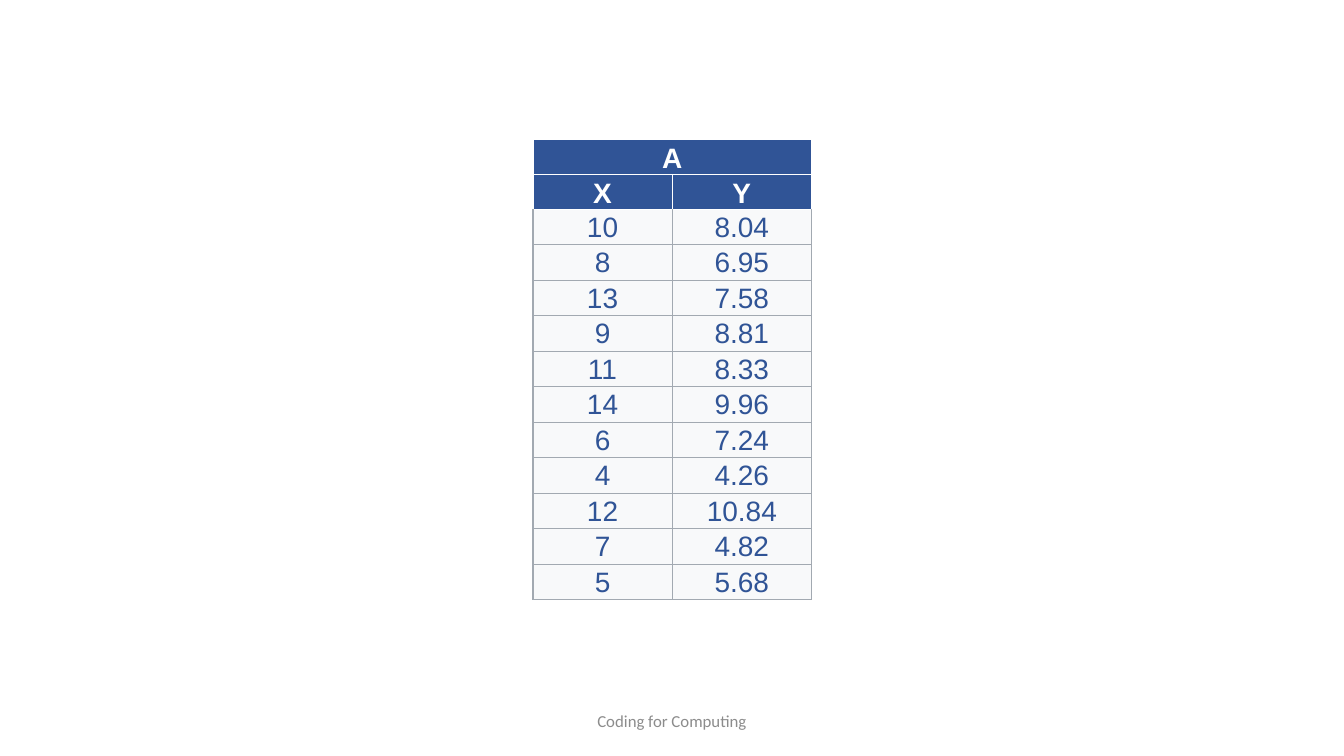
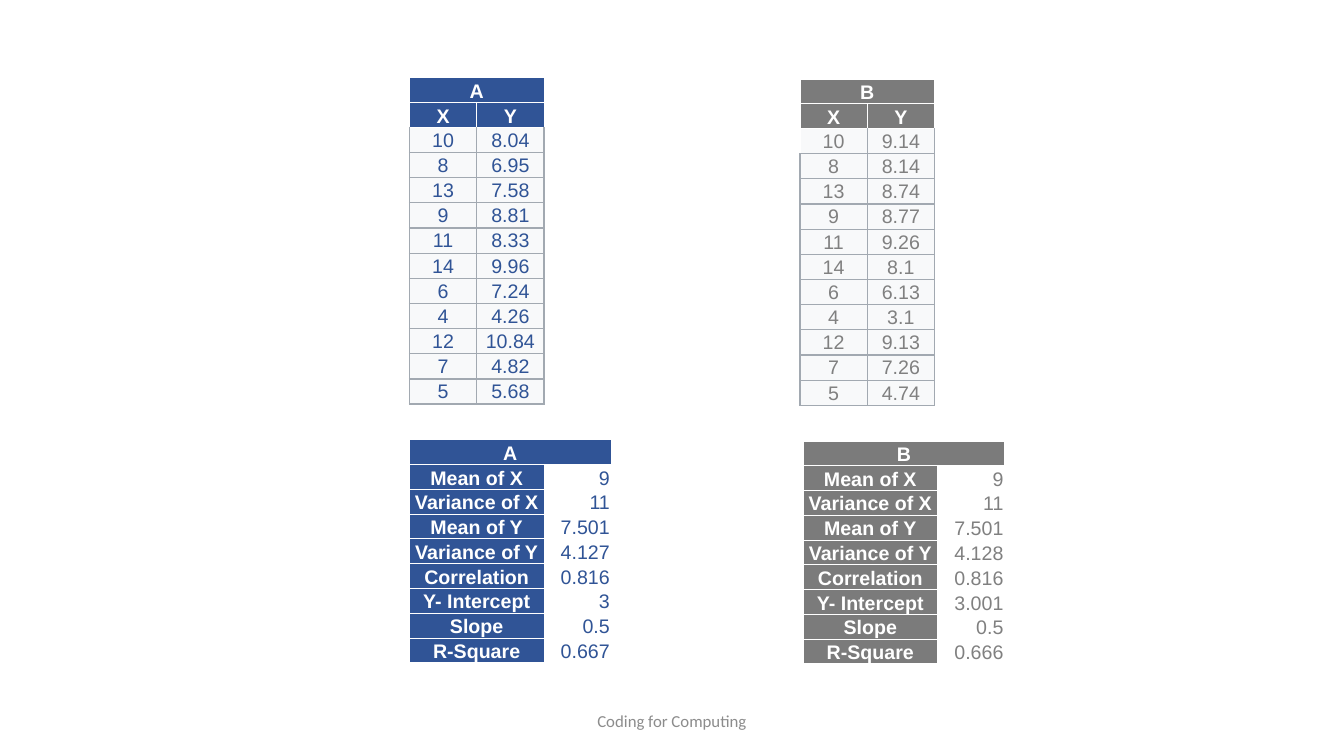
from lxml.etree import SubElement
from pptx import Presentation
from pptx.dml.color import RGBColor
from pptx.enum.text import MSO_ANCHOR, PP_ALIGN
from pptx.oxml.ns import qn
from pptx.util import Cm, Pt

COLORS = {
    "white": "FFFFFF",
    "footer": "8C8C8C",
    "cell": "F8F9FA",
    "grid": "A2A9B1",
    "blue": "305496",
    "gray": "7B7B7B",
    "gray_text": "808080",
}
THIN = ("white", 0.5)
GRID = ("grid", 1)
SIDES = ("L", "R", "T", "B")
CELL_INSETS = {
    "margin_left": Cm(0.03),
    "margin_right": Cm(0.03),
    "margin_top": Cm(0.03),
    "margin_bottom": 0,
}
X_VALUES = [10, 8, 13, 9, 11, 14, 6, 4, 12, 7, 5]
STAT_LABELS = [
    "Mean of X", "Variance of X", "Mean of Y", "Variance of Y",
    "Correlation", "Y- Intercept", "Slope", "R-Square",
]
DATASETS = {
    "A": {
        "fill": "blue",
        "text": "blue",
        "first_left": GRID,
        "y": [8.04, 6.95, 7.58, 8.81, 8.33, 9.96, 7.24, 4.26, 10.84, 4.82, 5.68],
        "stats": [9, 11, 7.501, 4.127, 0.816, 3, 0.5, 0.667],
    },
    "B": {
        "fill": "gray",
        "text": "gray_text",
        "first_left": THIN,
        "y": [9.14, 8.14, 8.74, 8.77, 9.26, 8.1, 6.13, 3.1, 9.13, 7.26, 4.74],
        "stats": [9, 11, 7.501, 4.128, 0.816, 3.001, 0.5, 0.666],
    },
}


def set_all(target, values):
    for name, value in values.items():
        setattr(target, name, value)


def write_span(para, text, color, **font):
    span = para.add_run()
    span.text = text
    set_all(span.font, font)
    span.font.color.rgb = RGBColor.from_string(COLORS[color])


def set_borders(cell, borders):
    properties = cell._tc.get_or_add_tcPr()
    for side in SIDES:
        color, width = borders[side]
        line = SubElement(properties, qn(f"a:ln{side}"), w=str(Pt(width)))
        fill = SubElement(line, qn("a:solidFill"))
        SubElement(fill, qn("a:srgbClr"), val=COLORS[color])


def format_cell(cell, text, size, color, fill=None, borders=None, bold=False,
                anchor=MSO_ANCHOR.BOTTOM, align=PP_ALIGN.CENTER):
    set_all(cell, {**CELL_INSETS, "vertical_anchor": anchor})
    set_borders(cell, borders or dict.fromkeys(SIDES, THIN))
    if fill:
        cell.fill.solid()
        cell.fill.fore_color.rgb = RGBColor.from_string(COLORS[fill])
    else:
        cell.fill.background()
    para = cell.text_frame.paragraphs[0]
    para.alignment = align
    write_span(para, text, color, name="Arial", size=Pt(size), bold=bold)


def add_grid(page, box, row_heights, column_shares):
    left, top, width, height = box
    frame = page.shapes.add_table(
        len(row_heights), len(column_shares), Cm(left), Cm(top), Cm(width), Cm(height))
    table = frame.table
    set_all(table, {"first_row": False, "horz_banding": False})
    for row, row_height in zip(table.rows, row_heights):
        row.height = Cm(row_height)
    for column, share in zip(table.columns, column_shares):
        column.width = Cm(width * share / sum(column_shares))
    table.cell(0, 0).merge(table.cell(0, 1))
    return table


def add_data_table(page, name, box, header_height, size):
    dataset = DATASETS[name]
    body_height = (box[3] - 2 * header_height) / len(X_VALUES)
    heights = [header_height] * 2 + [body_height] * len(X_VALUES)
    table = add_grid(page, box, heights, (1, 1))
    for row, labels in enumerate([(name, ""), ("X", "Y")]):
        for column, label in enumerate(labels):
            format_cell(table.cell(row, column), label, size, "white",
                        dataset["fill"], bold=True)
    for row, pair in enumerate(zip(X_VALUES, dataset["y"]), 2):
        for column, value in enumerate(pair):
            borders = dict.fromkeys(SIDES, GRID)
            if row == 2:
                borders["T"] = THIN
                if column == 0:
                    borders["L"] = dataset["first_left"]
            format_cell(table.cell(row, column), str(value), size, dataset["text"],
                        "cell", borders, anchor=MSO_ANCHOR.MIDDLE)


def add_stats_table(page, name, box, size):
    dataset = DATASETS[name]
    row_count = len(STAT_LABELS) + 1
    table = add_grid(page, box, [box[3] / row_count] * row_count, (2, 1))
    for column, label in enumerate((name, "")):
        format_cell(table.cell(0, column), label, size, "white",
                    dataset["fill"], bold=True)
    for row, (label, value) in enumerate(zip(STAT_LABELS, dataset["stats"]), 1):
        format_cell(table.cell(row, 0), label, size, "white", dataset["fill"], bold=True)
        format_cell(table.cell(row, 1), str(value), size, dataset["text"],
                    align=PP_ALIGN.RIGHT)


def add_footer(page):
    box = page.shapes.add_textbox(Cm(11.22), Cm(17.65), Cm(11.43), Cm(1.01))
    set_all(box.text_frame, {"word_wrap": True, "vertical_anchor": MSO_ANCHOR.MIDDLE})
    para = box.text_frame.paragraphs[0]
    para.alignment = PP_ALIGN.CENTER
    write_span(para, "Coding for Computing", "footer", name="Calibri", size=Pt(12))


def add_page(deck):
    page = deck.slides.add_slide(deck.slide_layouts[6])
    add_footer(page)
    return page


def build_single_page(deck):
    page = add_page(deck)
    add_data_table(page, "A", (13.43, 3.52, 7.02, 11.56), 0.86, 20)


def build_comparison_page(deck):
    page = add_page(deck)
    for name, data_left, stats_left, top in (("A", 10.32, 10.32, 1.96),
                                             ("B", 20.16, 20.24, 1.99)):
        add_data_table(page, name, (data_left, top, 3.39, 8.2), 0.61, 14)
        add_stats_table(page, name, (stats_left, top + 9.12, 5.08, 5.51), 14)


def main():
    deck = Presentation()
    set_all(deck, {"slide_width": Cm(33.87), "slide_height": Cm(19.05)})
    build_single_page(deck)
    build_comparison_page(deck)
    deck.save("out.pptx")


if __name__ == "__main__":
    main()
